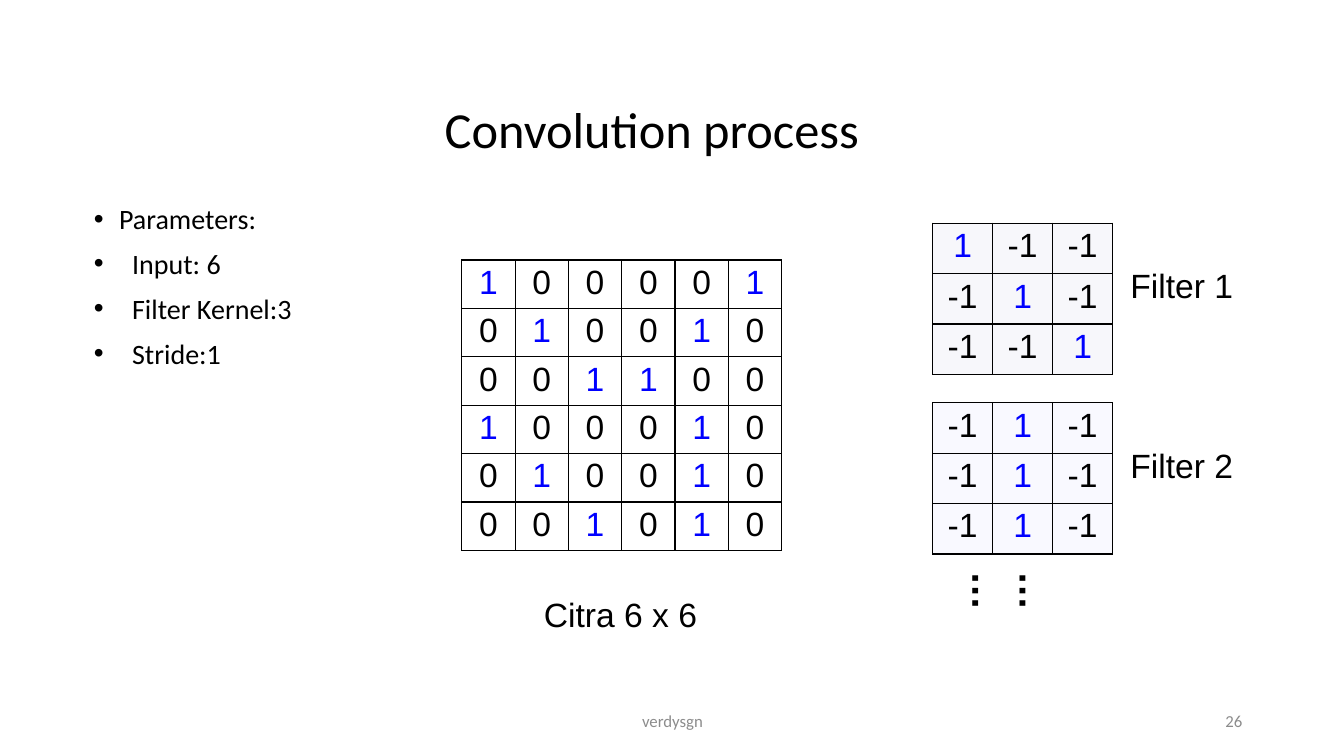
from dataclasses import dataclass

from lxml import etree
from pptx import Presentation
from pptx.dml.color import RGBColor
from pptx.enum.text import MSO_ANCHOR, PP_ALIGN
from pptx.oxml.ns import qn
from pptx.util import Inches, Pt

LEFT, CENTER, RIGHT = PP_ALIGN.LEFT, PP_ALIGN.CENTER, PP_ALIGN.RIGHT
TOP, MIDDLE = MSO_ANCHOR.TOP, MSO_ANCHOR.MIDDLE
TITLE_ONLY = 5
SLIDE_WIDTH, SLIDE_HEIGHT = Inches(13.33), Inches(7.5)


@dataclass(frozen=True)
class Theme:
    text_font: str = "Calibri"
    figure_font: str = "Arial"
    ink: str = "000000"
    one: str = "0000FF"
    muted: str = "8C8C8C"
    first_filter: str = "F7F7FB"
    second_filter: str = "F9F9FF"
    title_size: float = 36
    body_size: float = 20
    figure_size: float = 24
    dots_size: float = 28
    footer_size: float = 12
    border: float = 0.96


THEME = Theme()

PARAMETERS = [("Parameters:", 0.25), ("Input: 6", 0.38),
              ("Filter Kernel:3", 0.38), ("Stride:1", 0.38)]
IMAGE = ["1 0 0 0 0 1", "0 1 0 0 1 0", "0 0 1 1 0 0",
         "1 0 0 0 1 0", "0 1 0 0 1 0", "0 0 1 0 1 0"]
FILTERS = [
    ("Filter 1", 29.33, THEME.first_filter, ["1 -1 -1", "-1 1 -1", "-1 -1 1"]),
    ("Filter 2", 53.07, THEME.second_filter, ["-1 1 -1"] * 3),
]


def share(left, top, width, height):
    """Turn percentages of the slide into a frame."""
    return (int(SLIDE_WIDTH * left / 100), int(SLIDE_HEIGHT * top / 100),
            int(SLIDE_WIDTH * width / 100), int(SLIDE_HEIGHT * height / 100))


def style(para, font, size, color=THEME.ink, align=LEFT, bold=False):
    para.alignment = align
    for run in para.runs:
        run.font.name = font
        run.font.size = Pt(size)
        run.font.bold = bold
        run.font.color.rgb = RGBColor.from_string(color)


def add_title(slide, text):
    title = slide.shapes.title
    title.left, title.top, title.width, title.height = share(6.98, 12.8, 83.05, 9.47)
    title.text_frame.text = text
    title.text_frame.vertical_anchor = MIDDLE
    para = title.text_frame.paragraphs[0]
    para.line_spacing = 0.9
    style(para, THEME.text_font, THEME.title_size, align=CENTER)


def add_label(slide, text, frame, font=THEME.figure_font, size=THEME.figure_size,
              color=THEME.ink, align=CENTER, anchor=TOP, bold=False):
    box = slide.shapes.add_textbox(*frame)
    box.text_frame.word_wrap = True
    box.text_frame.vertical_anchor = anchor
    box.text_frame.text = text
    style(box.text_frame.paragraphs[0], font, size, color, align, bold)
    return box


def add_bullets(slide, items, frame):
    text_frame = slide.shapes.add_textbox(*frame).text_frame
    text_frame.word_wrap = True
    text_frame.margin_left = text_frame.margin_right = 0
    text_frame.margin_top = text_frame.margin_bottom = 0
    for index, (text, indent) in enumerate(items):
        para = text_frame.add_paragraph() if index else text_frame.paragraphs[0]
        para.text = text
        properties = para._p.get_or_add_pPr()
        properties.set("marL", str(Inches(indent)))
        properties.set("indent", str(-Inches(indent)))
        bullet_font = etree.SubElement(properties, qn("a:buFont"))
        bullet_font.set("typeface", THEME.figure_font)
        etree.SubElement(properties, qn("a:buChar")).set("char", "•")
        para.space_before = Pt(8 if index else 0)
        style(para, THEME.text_font, THEME.body_size)


def add_borders(cell):
    properties = cell._tc.get_or_add_tcPr()
    for position, side in enumerate(("a:lnL", "a:lnR", "a:lnT", "a:lnB")):
        line = etree.Element(qn(side), w=str(Pt(THEME.border)))
        fill = etree.SubElement(line, qn("a:solidFill"))
        etree.SubElement(fill, qn("a:srgbClr")).set("val", THEME.ink)
        properties.insert(position, line)


def add_matrix(slide, rows, frame, fill=None):
    """Draw a grid of numbers in which every 1 is highlighted."""
    values = [row.split() for row in rows]
    table = slide.shapes.add_table(len(values), len(values[0]), *frame).table
    table.first_row = table.horz_banding = False
    for row in table.rows:
        row.height = frame[3] // len(values)
    for row_index, row_values in enumerate(values):
        for column_index, value in enumerate(row_values):
            cell = table.cell(row_index, column_index)
            cell.margin_top = cell.margin_bottom = Inches(0.04)
            if fill:
                cell.fill.solid()
                cell.fill.fore_color.rgb = RGBColor.from_string(fill)
            else:
                cell.fill.background()
            add_borders(cell)
            cell.text_frame.text = value
            color = THEME.one if value == "1" else THEME.ink
            style(cell.text_frame.paragraphs[0], THEME.figure_font,
                  THEME.figure_size, color, CENTER)


def main():
    deck = Presentation()
    deck.slide_width, deck.slide_height = SLIDE_WIDTH, SLIDE_HEIGHT
    slide = deck.slides.add_slide(deck.slide_layouts[TITLE_ONLY])

    add_title(slide, "Convolution process")
    add_bullets(slide, PARAMETERS, share(6.98, 26.67, 83.05, 63.47))

    for text, left, width, align in (("verdysgn", 33.16, 33.76, CENTER),
                                     ("26", 70.67, 22.51, RIGHT)):
        add_label(slide, text, share(left, 92.67, width, 5.33), THEME.text_font,
                  THEME.footer_size, THEME.muted, align, MIDDLE)

    add_matrix(slide, IMAGE, share(34.36, 34.4, 23.8, 37.8))
    add_label(slide, "Citra 6 x 6", share(36.53, 77.87, 19.28, 6.67))

    for name, top, fill, rows in FILTERS:
        add_matrix(slide, rows, share(69.39, top + 0.2, 13.4, 20), fill)
        add_label(slide, name, share(82, top + 5.1, 11.85, 6.67))

    dots = add_label(slide, "……", share(72.39, 72.53, 5.78, 13.73),
                     size=THEME.dots_size, align=LEFT, bold=True)
    dots.rotation = 90

    deck.save("out.pptx")


if __name__ == "__main__":
    main()
